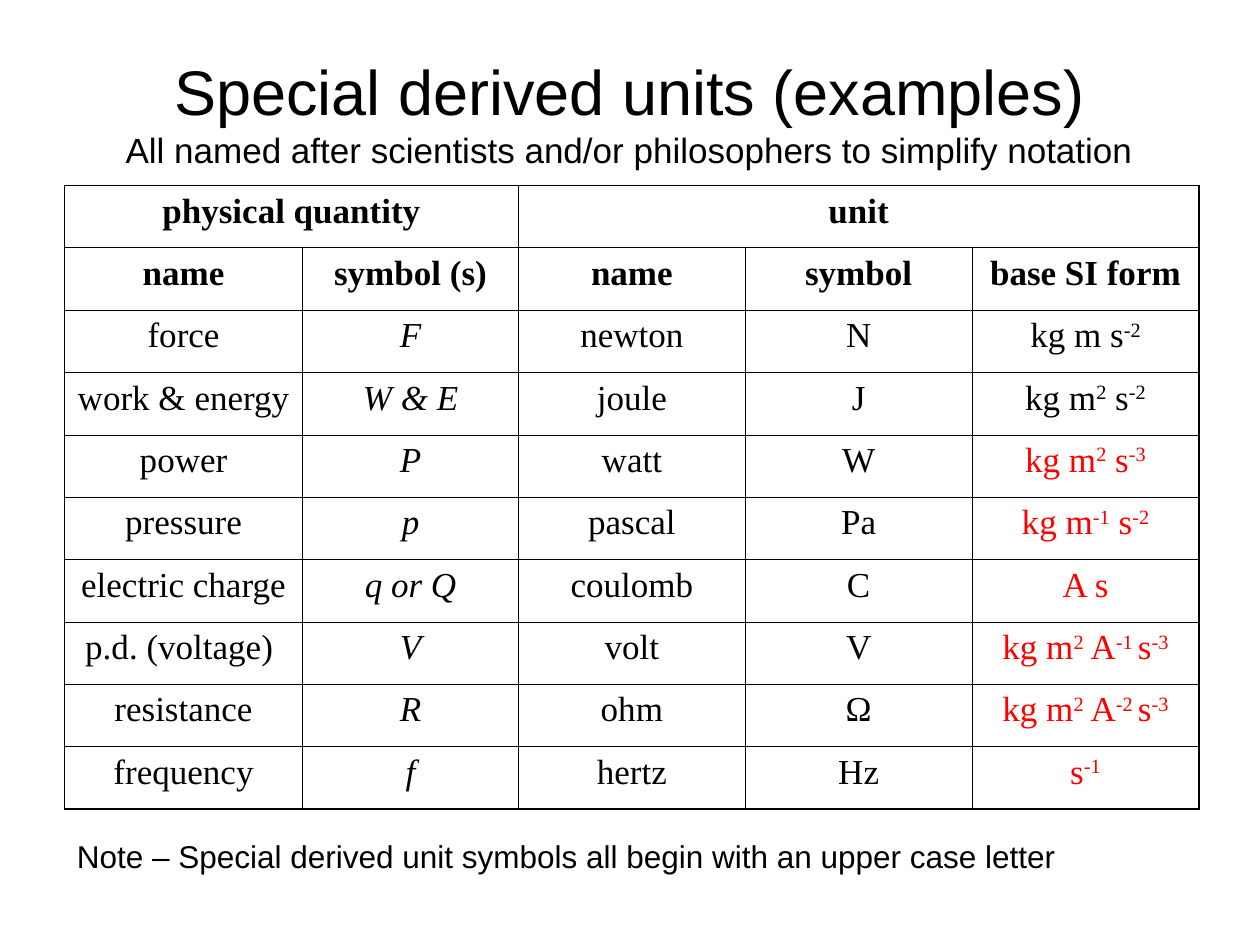
from lxml.etree import SubElement
from pptx import Presentation
from pptx.dml.color import RGBColor
from pptx.enum.text import MSO_ANCHOR, MSO_AUTO_SIZE, PP_ALIGN
from pptx.oxml.ns import qn
from pptx.util import Pt

TITLE = "Special derived units (examples)"
SUB = "All named after scientists and/or philosophers to simplify notation"
NOTE = "Note – Special derived unit symbols all begin with an upper case letter"
GROUPS = [("physical quantity", 0, 1), ("unit", 2, 4)]
HEADS = ("name", "symbol (s)", "name", "symbol", "base SI form")
UNITS = [
    ("force", "F", "newton", "N", "kg m s^-2"),
    ("work & energy", "W & E", "joule", "J", "kg m^2^ s^-2"),
    ("power", "P", "watt", "W", "kg m^2^ s^-3"),
    ("pressure", "p", "pascal", "Pa", "kg m^-1^ s^-2"),
    ("electric charge", "q or Q", "coulomb", "C", "A s"),
    ("p.d. (voltage) ", "V", "volt", "V", "kg m^2^ A^-1 ^s^-3"),
    ("resistance", "R", "ohm", "Ω", "kg m^2^ A^-2 ^s^-3"),
    ("frequency", "f", "hertz", "Hz", "s^-1"),
]
WIDTHS = (136, 123.4, 129.6, 129.6, 129.6)
HIGH = 35.64
BLACK, RED = "000000", "FF0000"
THIN, THICK = 0.45, 1.08
ROWS, COLS = len(UNITS) + 2, len(HEADS)


def color(code):
    return RGBColor.from_string(code)


def style(run, size, face, code=BLACK, bold=False, slant=False):
    font = run.font
    font.size, font.name = Pt(size), face
    font.bold, font.italic = bold, slant
    font.color.rgb = color(code)


def box(slide, left, top, width, height):
    frame = slide.shapes.add_textbox(Pt(left), Pt(top), Pt(width), Pt(height)).text_frame
    frame.word_wrap = True
    return frame


def border(cell, row, first, last):
    edges = {"L": first == 0, "R": last == COLS - 1, "T": row == 0, "B": row == ROWS - 1}
    props = cell._tc.get_or_add_tcPr()
    for side, outer in edges.items():
        line = SubElement(props, qn("a:ln" + side), w=str(Pt(THICK if outer else THIN)))
        fill = SubElement(line, qn("a:solidFill"))
        SubElement(fill, qn("a:srgbClr"), val=BLACK)


def write(grid, row, first, text, last=None, code=BLACK, bold=False, slant=False):
    last = first if last is None else last
    cell = grid.cell(row, first)
    if last > first:
        cell.merge(grid.cell(row, last))
    for col in range(first, last + 1):
        part = grid.cell(row, col)
        border(part, row, first, last)
        part.fill.background()
    para = cell.text_frame.paragraphs[0]
    para.alignment, para.space_before = PP_ALIGN.CENTER, Pt(5)
    for spot, piece in enumerate(text.split("^")):
        run = para.add_run()
        run.text = piece
        style(run, 20, "Times New Roman", code, bold, slant)
        if spot % 2:
            run.font._element.set("baseline", "30000")


def main():
    deck = Presentation()
    deck.slide_width, deck.slide_height = Pt(720), Pt(540)
    slide = deck.slides.add_slide(deck.slide_layouts[6])

    frame = box(slide, 36, 21.6, 647.3, 84.2)
    frame.vertical_anchor = MSO_ANCHOR.MIDDLE
    para = frame.paragraphs[0]
    para.text = TITLE + "\v" + SUB
    para.alignment = PP_ALIGN.CENTER
    for run, size in zip(para.runs, (36, 20)):
        style(run, size, "Arial")

    grid = slide.shapes.add_table(
        ROWS, COLS, Pt(36.9), Pt(106), Pt(sum(WIDTHS)), Pt(HIGH * ROWS)).table
    grid.first_row = grid.horz_banding = False
    for col, width in zip(grid.columns, WIDTHS):
        col.width = Pt(width)
    for row in grid.rows:
        row.height = Pt(HIGH)
    for text, first, last in GROUPS:
        write(grid, 0, first, text, last, bold=True)
    for col, text in enumerate(HEADS):
        write(grid, 1, col, text, bold=True)
    for row, unit in enumerate(UNITS, 2):
        for col, text in enumerate(unit):
            code = RED if col == COLS - 1 and row > 3 else BLACK
            write(grid, row, col, text, code=code, slant=col == 1)

    frame = box(slide, 36.9, 474.5, 641, 28.8)
    frame.auto_size = MSO_AUTO_SIZE.SHAPE_TO_FIT_TEXT
    para = frame.paragraphs[0]
    para.text = NOTE
    para.space_before = Pt(11.2)
    style(para.runs[0], 18, "Arial")

    deck.save("out.pptx")


if __name__ == "__main__":
    main()
